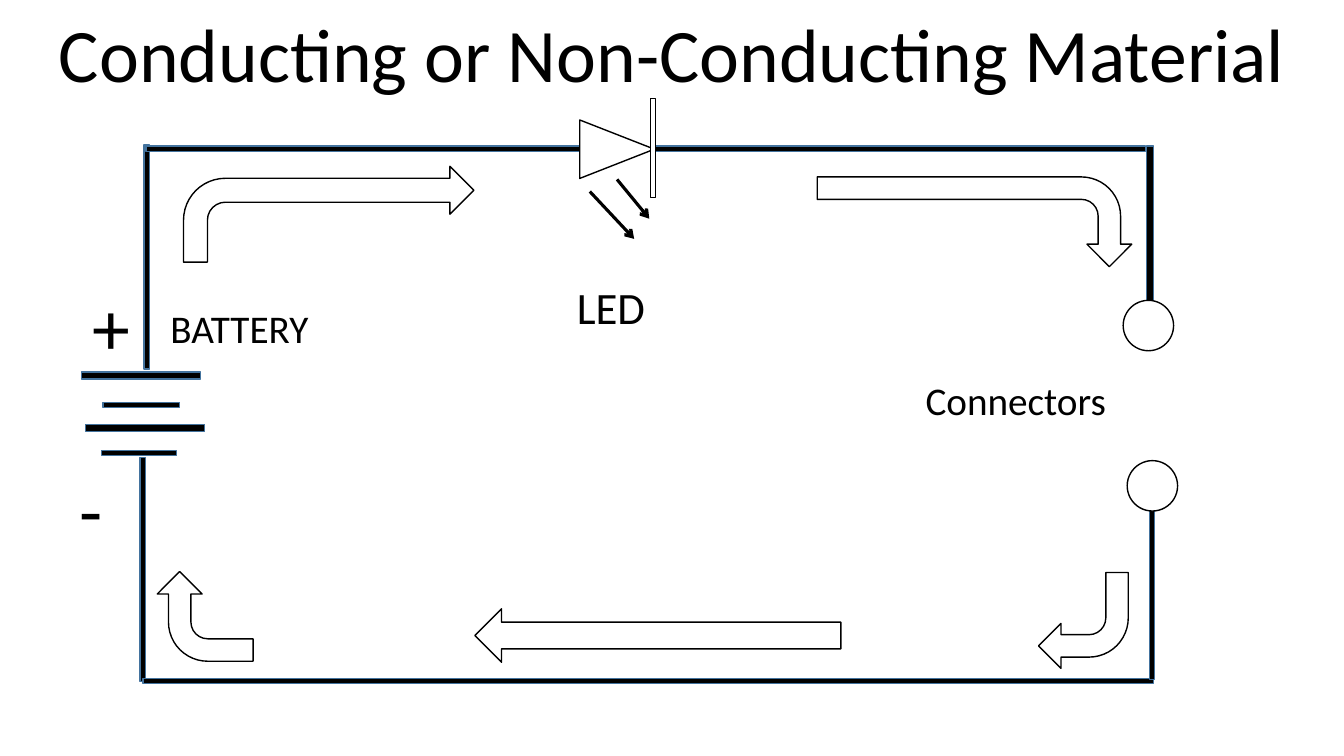
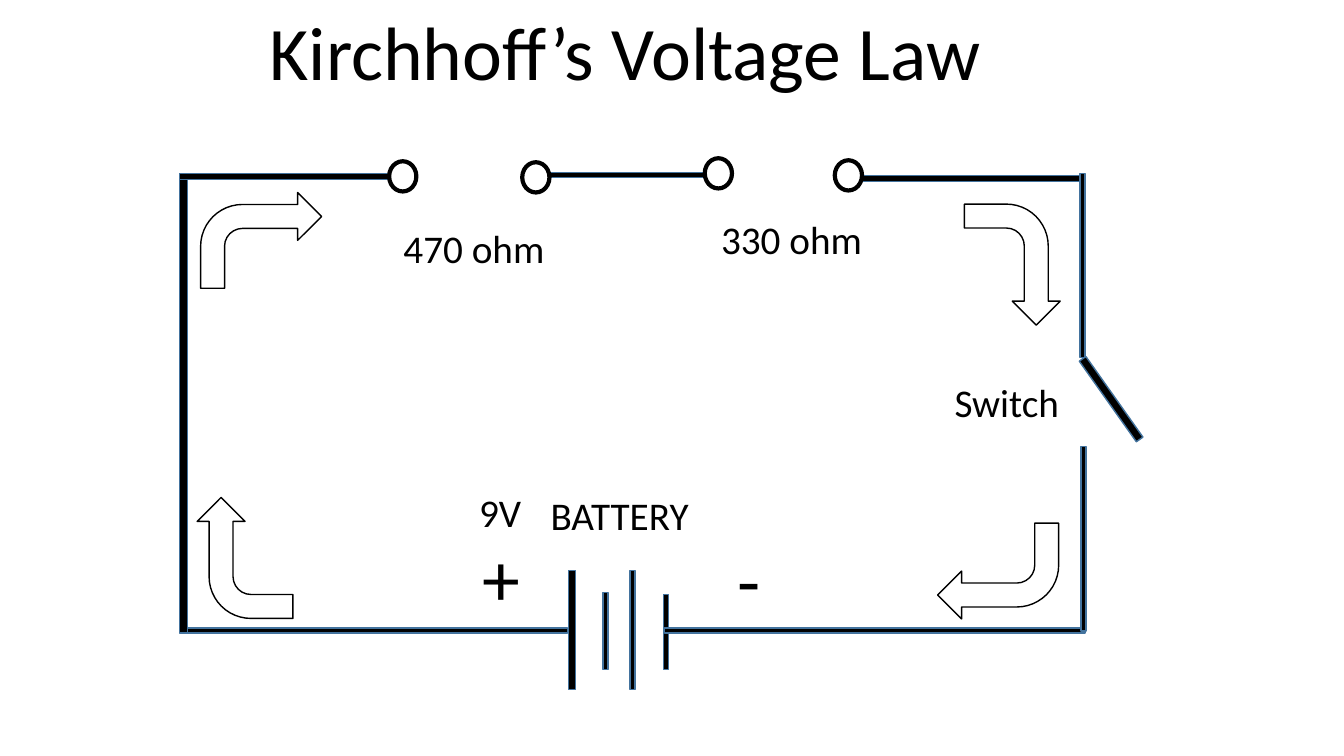
from lxml import etree
from pptx import Presentation
from pptx.dml.color import RGBColor
from pptx.enum.shapes import MSO_CONNECTOR, MSO_SHAPE as SHAPE
from pptx.enum.text import MSO_AUTO_SIZE as AUTO, PP_ALIGN
from pptx.oxml.ns import qn
from pptx.util import Inches, Pt

COLORS = {"ink": "000000", "paper": "FFFFFF", "wire_edge": "43739E"}
FONT = "Calibri"
TITLE, SIGN, LED, LABEL = 54, 54, 32, 28
TEXT_HEIGHT = {54: 1.01, 32: 0.64, 28: 0.57}
WIRE = SHAPE.FLOWCHART_PROCESS

prs = Presentation()
prs.slide_width, prs.slide_height = Inches(13.33), Inches(7.5)
blank = prs.slide_layouts[6]


def add_part(s, kind, box, fill="paper", line="ink", width=1, rotation=0):
    sp = s.shapes.add_shape(kind, *[Inches(v) for v in box])
    sp.shadow.inherit = False
    sp.fill.solid()
    sp.fill.fore_color.rgb = RGBColor.from_string(COLORS[fill])
    sp.line.color.rgb = RGBColor.from_string(COLORS[line])
    sp.line.width = Pt(width)
    sp.rotation = rotation


def add_label(s, text, left, top, width, size=LABEL, wrap=True):
    tb = s.shapes.add_textbox(Inches(left), Inches(top), Inches(width),
                              Inches(TEXT_HEIGHT[size]))
    tf = tb.text_frame
    tf.word_wrap = wrap
    tf.auto_size = AUTO.SHAPE_TO_FIT_TEXT
    p = tf.paragraphs[0]
    p.text = text
    p.alignment = PP_ALIGN.CENTER
    font = p.runs[0].font
    font.name, font.size = FONT, Pt(size)
    font.color.rgb = RGBColor.from_string(COLORS["ink"])


# Slide 1: conductivity tester
s = prs.slides.add_slide(blank)
add_label(s, "Conducting or Non-Conducting Material", 0.27, 0.02, 12.79, TITLE, wrap=False)

# Battery plates
for box in [(1.02, 3.99, 0.76, 0.05), (1.01, 4.47, 0.74, 0.05),
            (0.81, 3.69, 1.18, 0.07), (0.85, 4.21, 1.18, 0.07)]:
    add_part(s, SHAPE.RECTANGLE, box, "ink", "wire_edge")

# Wires
for box in [(1.43, 1.44, 0.05, 2.22), (1.39, 4.54, 0.05, 2.22),
            (1.45, 1.45, 4.34, 0.05), (1.42, 6.73, 10.02, 0.05),
            (6.5, 1.45, 4.86, 0.05), (11.4, 4.97, 0.05, 1.77),
            (11.37, 1.45, 0.07, 1.77)]:
    add_part(s, WIRE, box, "ink", "wire_edge")

# Connector terminals
for left, top in [(11.14, 2.98), (11.18, 4.57)]:
    add_part(s, SHAPE.FLOWCHART_CONNECTOR, (left, top, 0.5, 0.5))

# Current arrows, clockwise
for box, rotation in [((1.82, 1.65, 2.88, 0.95), 0), ((9.22, 0.64, 0.89, 3.12), 90),
                      ((10.3, 5.68, 0.89, 0.95), 180), ((1.59, 5.64, 0.89, 0.95), 270)]:
    add_part(s, SHAPE.BENT_ARROW, box, rotation=rotation)
add_part(s, SHAPE.LEFT_ARROW, (4.71, 6.04, 3.63, 0.53))

# LED symbol with light rays
add_part(s, SHAPE.ISOSCELES_TRIANGLE, (5.83, 1.11, 0.58, 0.74), rotation=90)
add_part(s, WIRE, (6.45, 0.98, 0.05, 0.98))
for ends in [(6.12, 1.78, 6.44, 2.17), (5.85, 1.9, 6.29, 2.37)]:
    ray = s.shapes.add_connector(MSO_CONNECTOR.STRAIGHT, *[Inches(v) for v in ends])
    ray.line.color.rgb = RGBColor.from_string(COLORS["ink"])
    ray.line.width = Pt(2.25)
    etree.SubElement(ray.line._get_or_add_ln(), qn("a:tailEnd"), type="arrow")
    etree.SubElement(ray._element.spPr, qn("a:effectLst"))

# Labels
for text, left, top, width, size in [
        ("+", 0.77, 2.73, 0.66, SIGN), ("-", 0.57, 4.54, 0.66, SIGN),
        ("LED", 5.31, 2.73, 1.5, LED), ("BATTERY", 1.53, 2.97, 1.69, LABEL),
        ("Connectors", 8.94, 3.68, 2.27, LABEL)]:
    add_label(s, text, left, top, width, size)

# Slide 2: voltage loop
s = prs.slides.add_slide(blank)
add_label(s, "Kirchhoff’s Voltage Law", 2.53, 0, 7.34, TITLE, wrap=False)

# Battery plates
for box in [(5.64, 5.66, 0.07, 1.18), (5.98, 5.88, 0.05, 0.76),
            (6.25, 5.66, 0.05, 1.18), (6.58, 5.9, 0.05, 0.74)]:
    add_part(s, SHAPE.RECTANGLE, box, "ink", "wire_edge")

# Wires
for box in [(1.83, 6.23, 3.8, 0.05), (6.59, 6.23, 4.17, 0.05),
            (10.71, 1.72, 0.05, 1.83), (1.78, 1.75, 0.08, 4.53),
            (1.78, 1.72, 2.1, 0.06), (5.38, 1.71, 1.61, 0.05),
            (8.49, 1.74, 2.22, 0.06), (10.72, 4.43, 0.05, 1.83)]:
    add_part(s, WIRE, box, "ink", "wire_edge")

# Open switch
add_part(s, WIRE, (10.53, 3.92, 0.98, 0.08), "ink", "wire_edge", rotation=54.7)

# Current arrows, clockwise
for i, (left, top) in enumerate([(1.99, 1.91), (9.44, 2.15), (9.3, 5.19), (1.83, 5.06)]):
    add_part(s, SHAPE.BENT_ARROW, (left, top, 1.2, 0.95), rotation=90 * i)

# Resistor terminals
for left, top in [(3.86, 1.6), (5.18, 1.61), (6.99, 1.57), (8.28, 1.59)]:
    add_part(s, SHAPE.OVAL, (left, top, 0.27, 0.3), width=3)

# Labels
for text, left, top, width, size, wrap in [
        ("+", 4.64, 5.22, 0.66, SIGN, True), ("-", 7.1, 5.24, 0.66, SIGN, True),
        ("BATTERY", 5.3, 4.83, 1.69, LABEL, True), ("9V", 4.65, 4.8, 0.62, LABEL, False),
        ("330 ohm", 7.04, 2.09, 1.62, LABEL, False),
        ("470 ohm", 3.89, 2.18, 1.62, LABEL, False),
        ("Switch", 9.36, 3.7, 1.25, LABEL, False)]:
    add_label(s, text, left, top, width, size, wrap)

prs.save("out.pptx")
